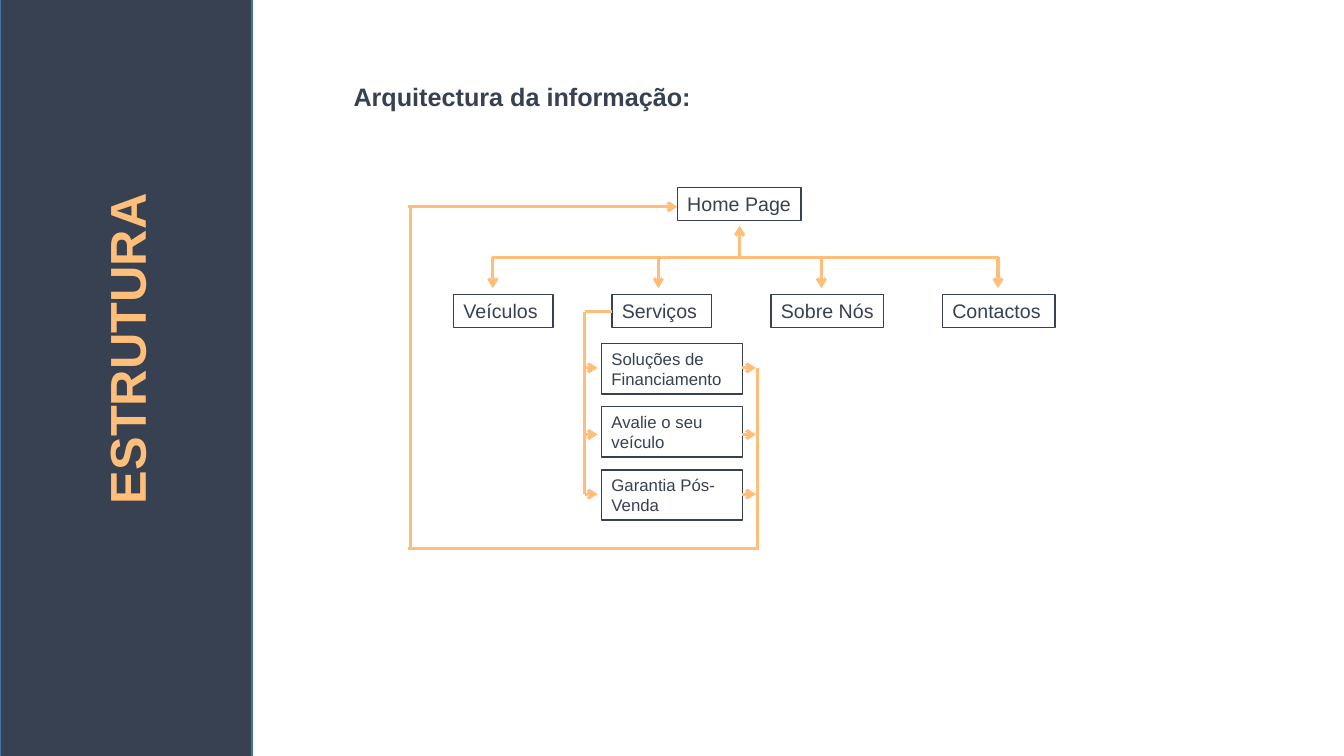
from lxml.etree import SubElement
from pptx import Presentation
from pptx.dml.color import RGBColor
from pptx.enum.shapes import MSO_CONNECTOR, MSO_SHAPE
from pptx.enum.text import MSO_ANCHOR, MSO_AUTO_SIZE, PP_ALIGN
from pptx.oxml.ns import qn
from pptx.util import Cm, Pt

COLOURS = {"navy": "374151", "orange": "FFBE79", "blue": "43739E"}
FONT = "Arial"


def colour(name):
    return RGBColor.from_string(COLOURS[name])


def write(shape, text, size, colour_name="navy", bold=False):
    frame = shape.text_frame
    frame.text = text
    frame.word_wrap = True
    frame.auto_size = MSO_AUTO_SIZE.NONE
    frame.vertical_anchor = MSO_ANCHOR.MIDDLE
    frame.margin_left = Cm(0.25)
    frame.margin_right = 0
    frame.margin_top = frame.margin_bottom = Cm(0.13)
    para = frame.paragraphs[0]
    para.alignment = PP_ALIGN.LEFT
    para.font.name = FONT
    para.font.size = Pt(size)
    para.font.bold = bold
    para.font.color.rgb = colour(colour_name)


def add_panel(page):
    panel = page.shapes.add_shape(MSO_SHAPE.RECTANGLE, 0, Cm(-0.03), Cm(6.35), Cm(19.1))
    panel.shadow.inherit = False
    panel.fill.solid()
    panel.fill.fore_color.rgb = colour("navy")
    panel.line.color.rgb = colour("blue")
    panel.line.width = Pt(1)


def set_title(page, text):
    title = page.shapes.title
    title.left, title.top, title.width, title.height = Cm(-1.07), Cm(7.82), Cm(8.48), Cm(1.78)
    title.rotation = 270
    write(title, text, 36, "orange", bold=True)
    # Bring the title in front of the side panel
    title.element.getparent().append(title.element)


def add_heading(page, text):
    heading = page.shapes.add_textbox(Cm(8.66), Cm(1.93), Cm(9.17), Cm(1.02))
    write(heading, text, 18, bold=True)


def add_node(page, text, left, top, width, height=0.84, size=14):
    node = page.shapes.add_shape(
        MSO_SHAPE.RECTANGLE, Cm(left), Cm(top), Cm(width), Cm(height))
    node.shadow.inherit = False
    node.fill.background()
    node.line.color.rgb = colour("navy")
    node.line.width = Pt(1)
    write(node, text, size)


def add_line(page, x1, y1, x2, y2, arrow=False):
    link = page.shapes.add_connector(
        MSO_CONNECTOR.STRAIGHT, Cm(x1), Cm(y1), Cm(x2), Cm(y2))
    link.line.color.rgb = colour("orange")
    link.line.width = Pt(2.25)
    if arrow:
        SubElement(link.line._get_or_add_ln(), qn("a:tailEnd"), type="arrow")
    SubElement(link.element.spPr, qn("a:effectLst"))


def add_main_pages(page):
    add_node(page, "Home Page", 17.07, 4.72, 3.12)
    bar_y = 6.48
    add_line(page, 18.64, bar_y, 18.64, 5.69, arrow=True)
    add_line(page, 12.4, bar_y, 25.18, bar_y)
    # Label, left, width, arrow position
    for text, left, width, arrow_x in (
        ("Veículos", 11.43, 2.51, 12.42),
        ("Serviços", 15.42, 2.51, 16.59),
        ("Sobre Nós", 19.43, 2.84, 20.7),
        ("Contactos", 23.75, 2.84, 25.15),
    ):
        add_node(page, text, left, 7.42, width)
        add_line(page, arrow_x, bar_y, arrow_x, 7.26, arrow=True)


def add_services(page):
    # Branch from the services page
    branch_x, branch_y = 14.73, 7.85
    add_line(page, branch_x, branch_y, branch_x, 12.45)
    add_line(page, branch_x, branch_y, 15.42, branch_y)
    # Subpages, each with an arrow in and an arrow out
    subpages = (
        ("Soluções de Financiamento", 9.27),
        ("Avalie o seu veículo", 10.95),
        ("Garantia Pós-Venda", 12.45),
    )
    for index, (text, arrow_y) in enumerate(subpages):
        add_node(page, text, 15.16, 8.66 + 1.59 * index, 3.56, height=1.27, size=12)
        add_line(page, branch_x, arrow_y, 15.06, arrow_y, arrow=True)
        add_line(page, 18.69, arrow_y, 19.05, arrow_y, arrow=True)


def add_return_path(page):
    add_line(page, 19.1, 9.27, 19.1, 13.84)
    add_line(page, 19.13, 13.82, 10.29, 13.82)
    add_line(page, 10.34, 13.87, 10.34, 5.21)
    add_line(page, 10.29, 5.21, 17.07, 5.21, arrow=True)


def main():
    deck = Presentation()
    deck.slide_width, deck.slide_height = Cm(33.87), Cm(19.05)
    page = deck.slides.add_slide(deck.slide_layouts.get_by_name("Title Only"))
    # Side panel and headings
    add_panel(page)
    set_title(page, "ESTRUTURA")
    add_heading(page, "Arquitectura da informação:")
    # Site map
    add_main_pages(page)
    add_services(page)
    add_return_path(page)
    deck.save("out.pptx")


if __name__ == "__main__":
    main()
